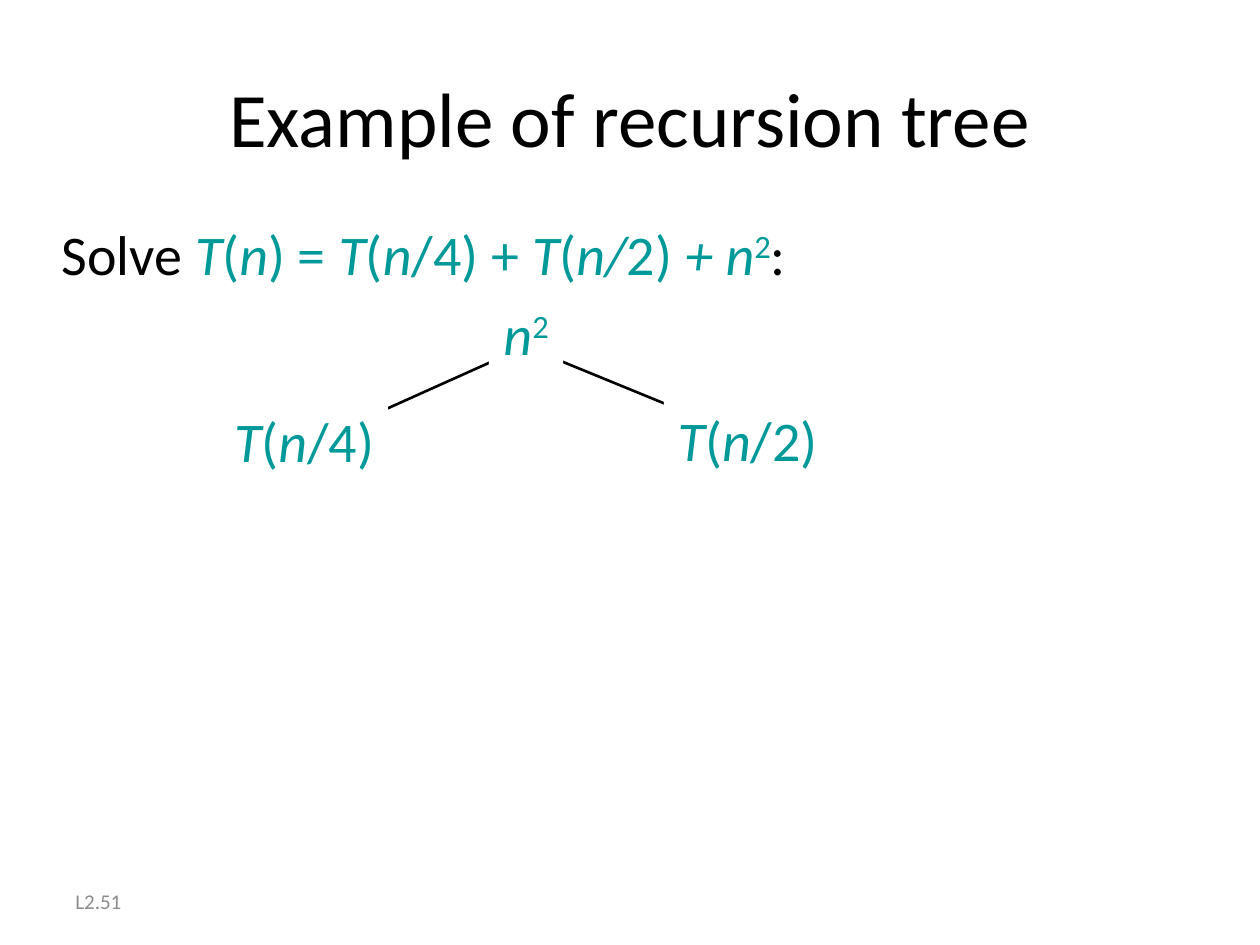
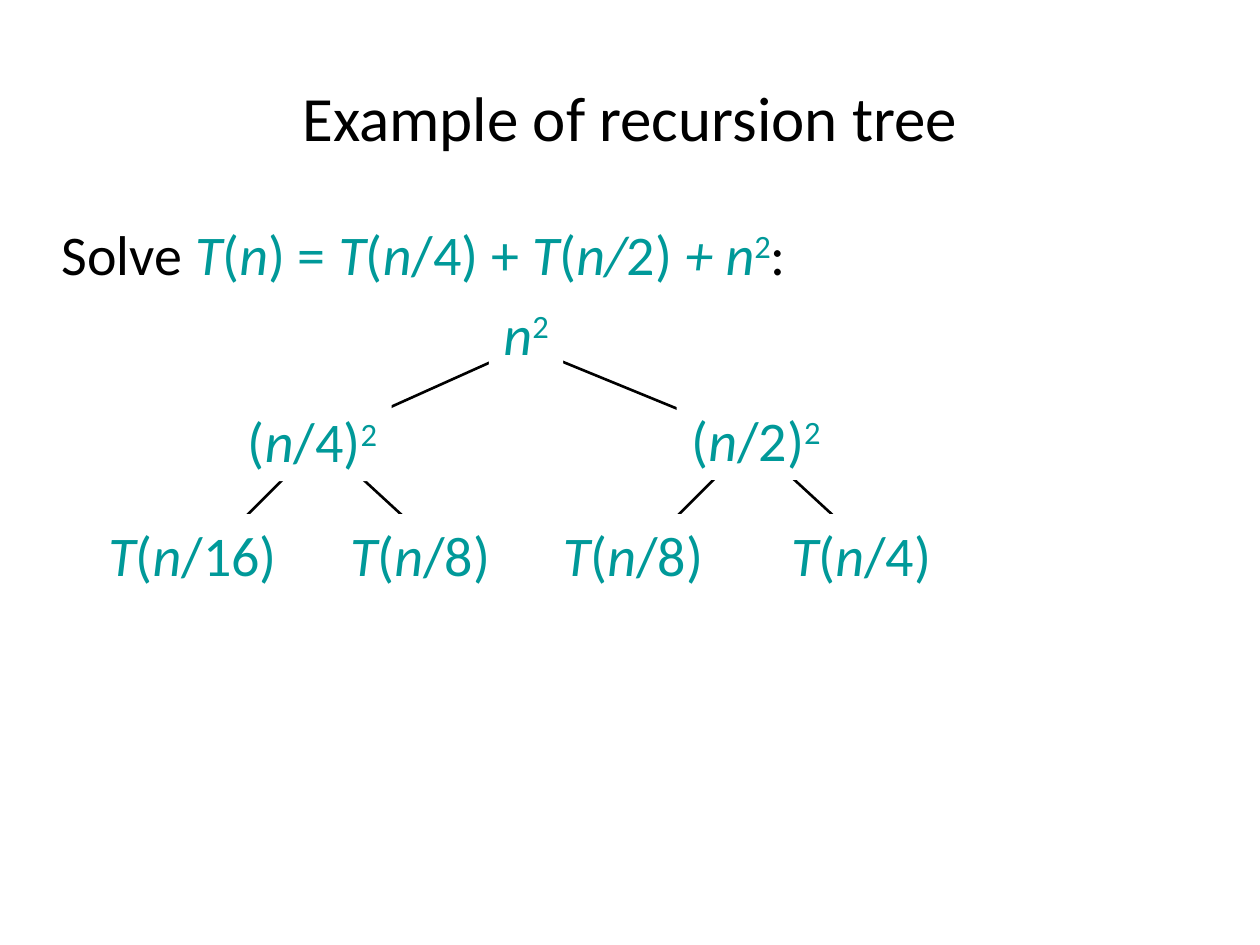
from lxml import etree
from pptx import Presentation
from pptx.dml.color import RGBColor
from pptx.enum.shapes import MSO_CONNECTOR, MSO_SHAPE
from pptx.enum.text import MSO_ANCHOR, MSO_AUTO_SIZE, PP_ALIGN
from pptx.oxml.ns import qn
from pptx.util import Inches, Pt

STRAIGHT = MSO_CONNECTOR.STRAIGHT
RECTANGLE = MSO_SHAPE.RECTANGLE
MIDDLE, TOP = MSO_ANCHOR.MIDDLE, MSO_ANCHOR.TOP
GROW = MSO_AUTO_SIZE.SHAPE_TO_FIT_TEXT
LEFT, CENTER = PP_ALIGN.LEFT, PP_ALIGN.CENTER

FONT = "Calibri"
BLACK, WHITE, GRAY, TEAL = "000000", "FFFFFF", "8C8C8C", "009999"
FORMULA_SIZE = 32
ROOT = (4.17, 2.75)
CHILD_Y, LEAF_Y = 3.5, 4.42
LEAF_TOP = 4.08


def rgb(value):
    return RGBColor.from_string(value)


def add_text(p, text, size=FORMULA_SIZE, color=BLACK, align=LEFT):
    """Add text in which *...* is italic and ^...^ is superscript."""
    p.alignment = align
    italic = raised = False
    for part in text.replace("*", "|*|").replace("^", "|^|").split("|"):
        if part == "*":
            italic = not italic
        elif part == "^":
            raised = not raised
        elif part:
            r = p.add_run()
            r.text = part
            r.font.name = FONT
            r.font.size = Pt(size)
            r.font.italic = italic
            r.font.color.rgb = rgb(color)
            if raised:
                r.font._element.set("baseline", "30000")


class Deck:
    def __init__(self):
        self.prs = Presentation()
        self.prs.slide_width = Inches(10)
        self.prs.slide_height = Inches(7.5)
        self.s = None

    def new_slide(self):
        self.s = self.prs.slides.add_slide(self.prs.slide_layouts[6])

    def text_box(self, left, top, width, height, anchor=MIDDLE, wrap=True):
        sp = self.s.shapes.add_textbox(
            Inches(left), Inches(top), Inches(width), Inches(height))
        tf = sp.text_frame
        tf.word_wrap = wrap
        tf.vertical_anchor = anchor
        if not wrap:
            tf.auto_size = GROW
        return tf.paragraphs[0]

    def title(self, size):
        p = self.text_box(0.5, 0.3, 9, 1.25)
        add_text(p, "Example of recursion tree", size=size, align=CENTER)

    def footer(self, text):
        add_text(self.text_box(0.5, 6.95, 2.33, 0.4), text, size=12, color=GRAY)

    def recurrence(self):
        p = self.text_box(0.39, 1.69, 6.27, 0.63, anchor=TOP, wrap=False)
        add_text(p, "Solve ")
        add_text(p, "*T*(*n*) = *T*(*n*/4) + *T*(*n/*2)* + n*^2^", color=TEAL)
        add_text(p, ":")

    def edge(self, start, end):
        line = self.s.shapes.add_connector(
            STRAIGHT, *(Inches(v) for v in (*start, *end)))
        line.line.color.rgb = rgb(BLACK)
        line.line.width = Pt(1.5)
        etree.SubElement(line._element.spPr, qn("a:effectLst"))

    def node(self, text, left, top, width):
        sp = self.s.shapes.add_shape(
            RECTANGLE, Inches(left), Inches(top), Inches(width), Inches(0.64))
        sp.shadow.inherit = False
        sp.fill.solid()
        sp.fill.fore_color.rgb = rgb(WHITE)
        sp.line.fill.background()
        tf = sp.text_frame
        tf.word_wrap = False
        tf.auto_size = GROW
        tf.vertical_anchor = TOP
        add_text(tf.paragraphs[0], text, color=TEAL, align=CENTER)

    def root(self):
        for child_x in (2.5, 6):
            self.edge(ROOT, (child_x, CHILD_Y))
        self.node("*n*^2^", 3.88, 2.33, 0.59)


def first_expansion(deck):
    deck.new_slide()
    deck.footer("L2.51")
    deck.title(44)
    deck.root()
    deck.node("*T*(*n*/4)", 1.75, 3.18, 1.33)
    deck.node("*T*(*n*/2)", 5.27, 3.17, 1.33)
    deck.recurrence()


def second_expansion(deck):
    deck.new_slide()
    deck.title(36)
    deck.recurrence()
    deck.root()
    for parent_x in (2.55, 5.97):
        for offset in (-0.92, 1):
            deck.edge((parent_x, CHILD_Y), (parent_x + offset, LEAF_Y))
    deck.node("(*n*/4)^2^", 1.85, 3.18, 1.26)
    deck.node("(*n*/2)^2^", 5.37, 3.17, 1.26)
    leaves = ((16, 0.75, 1.56), (8, 2.67, 1.33), (8, 4.36, 1.33), (4, 6.17, 1.33))
    for divisor, left, width in leaves:
        deck.node(f"*T*(*n*/{divisor})", left, LEAF_TOP, width)


def main():
    deck = Deck()
    first_expansion(deck)
    second_expansion(deck)
    deck.prs.save("out.pptx")


if __name__ == "__main__":
    main()
